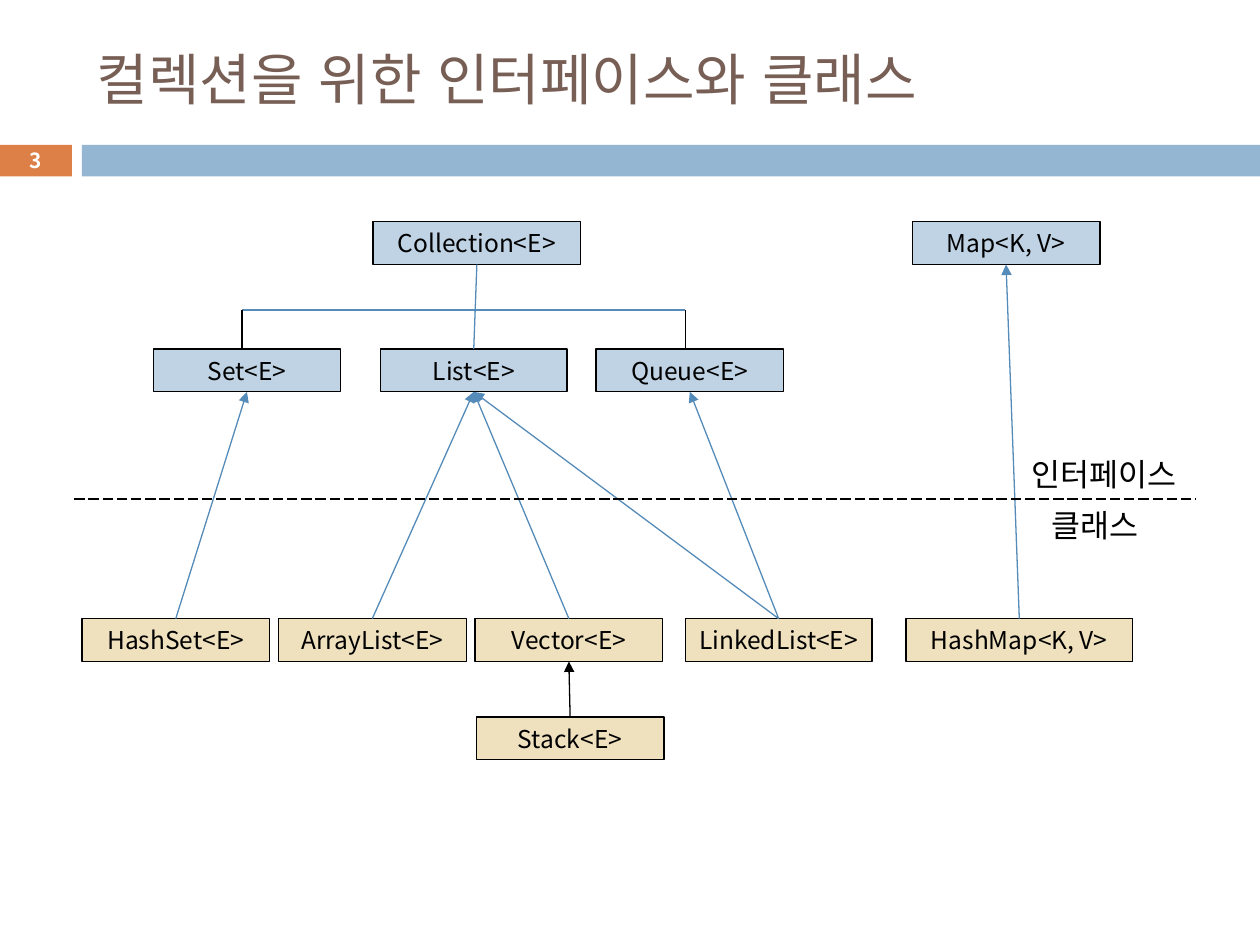
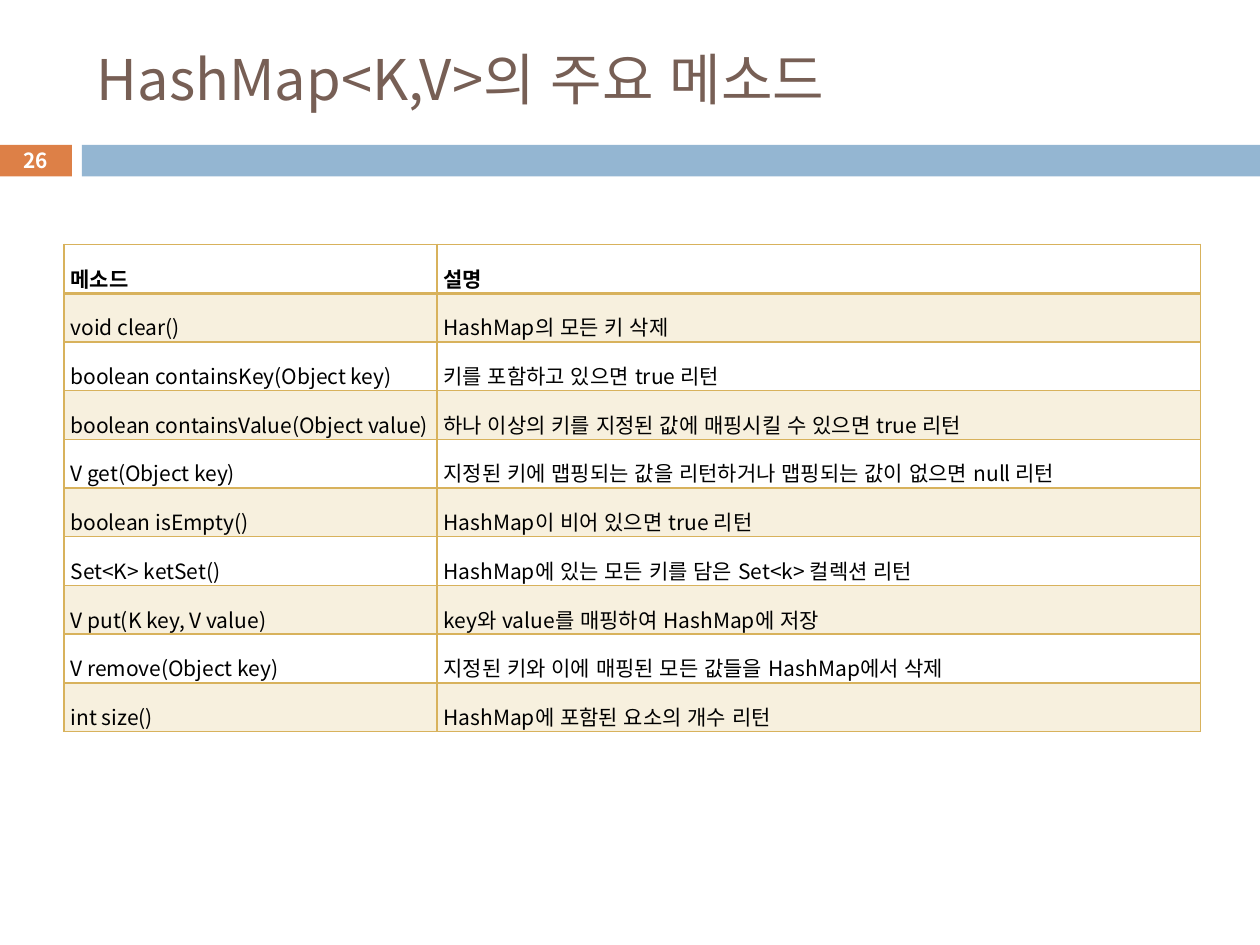
from lxml import etree
from pptx import Presentation
from pptx import util as u
from pptx.dml.color import RGBColor
from pptx.enum import dml, lang, shapes, text
from pptx.oxml import ns

FONT = "Noto Sans CJK KR"
BLACK, WHITE, TITLE = "000000", "FFFFFF", "775F55"
ORANGE, BAND = "DD8047", "94B6D2"
INTERFACE, CLASS, ARROW = "BFD3E4", "EFE0BE", "558BB8"
GRID, STRIPE = "D8B25C", "F7F0DE"
color = RGBColor.from_string


def write(frame, words, size, ink=BLACK, bold=False, align=text.PP_ALIGN.LEFT):
    frame.word_wrap = True
    frame.vertical_anchor = text.MSO_ANCHOR.MIDDLE
    para = frame.paragraphs[0]
    para.text = words
    para.alignment = align
    para.font.size = u.Pt(size)
    para.font.bold = bold
    para.font.color.rgb = color(ink)
    para.font.name = FONT
    para.runs[0].font.language_id = lang.MSO_LANGUAGE_ID.KOREAN
    defaults = para._p.pPr.find(ns.qn("a:defRPr"))
    etree.SubElement(defaults, ns.qn("a:ea"), typeface=FONT)
    return para


def draw_line(page, start, end, ink=ARROW, arrow=False):
    line = page.shapes.add_connector(
        shapes.MSO_CONNECTOR.STRAIGHT, *[u.Inches(value) for value in start + end])
    line.line.color.rgb = color(ink)
    line.line.width = u.Pt(0.75)
    if arrow:
        etree.SubElement(line.line._get_or_add_ln(), ns.qn("a:tailEnd"), type="triangle")
    etree.SubElement(line._element.spPr, ns.qn("a:effectLst"))
    return line


deck = Presentation()
deck.slide_width, deck.slide_height = u.Inches(10), u.Inches(7.5)

# Shared frame: bands, title and page number
pages = []
for title, number in [("컬렉션을 위한 인터페이스와 클래스", "3"),
                      ("HashMap<K,V>의 주요 메소드", "26")]:
    page = deck.slides.add_slide(deck.slide_layouts[6])
    for left, width, fill in [(-0.01, 0.58, ORANGE), (0.65, 9.35, BAND)]:
        band = page.shapes.add_shape(
            shapes.MSO_SHAPE.RECTANGLE, u.Inches(left), u.Inches(1.15),
            u.Inches(width), u.Inches(0.25))
        band.shadow.inherit = False
        band.fill.solid()
        band.fill.fore_color.rgb = color(fill)
        band.line.fill.background()
    box = page.shapes.add_textbox(u.Inches(0.67), u.Inches(0.25), u.Inches(8.92), u.Inches(0.74))
    write(box.text_frame, title, 32, TITLE)
    box = page.shapes.add_textbox(u.Inches(-0.01), u.Inches(1.14), u.Inches(0.58), u.Inches(0.27))
    write(box.text_frame, number, 11.9, WHITE, True, text.PP_ALIGN.CENTER)
    pages.append(page)
diagram_page, table_page = pages

# Type boxes: name, left, top, width, fill
types = [
    ("Collection<E>", 2.96, 1.76, 1.65, INTERFACE),
    ("Map<K, V>", 7.24, 1.76, 1.49, INTERFACE),
    ("Set<E>", 1.22, 2.77, 1.48, INTERFACE),
    ("List<E>", 3.02, 2.77, 1.48, INTERFACE),
    ("Queue<E>", 4.73, 2.77, 1.49, INTERFACE),
    ("HashSet<E>", 0.65, 4.91, 1.49, CLASS),
    ("ArrayList<E>", 2.21, 4.91, 1.49, CLASS),
    ("Vector<E>", 3.77, 4.91, 1.49, CLASS),
    ("LinkedList<E>", 5.44, 4.91, 1.48, CLASS),
    ("HashMap<K, V>", 7.19, 4.91, 1.8, CLASS),
    ("Stack<E>", 3.78, 5.69, 1.49, CLASS),
]
boxes = {}
for name, left, top, width, fill in types:
    box = diagram_page.shapes.add_shape(
        shapes.MSO_SHAPE.RECTANGLE, u.Inches(left), u.Inches(top),
        u.Inches(width), u.Inches(0.34))
    box.shadow.inherit = False
    box.fill.solid()
    box.fill.fore_color.rgb = color(fill)
    box.line.color.rgb = color(BLACK)
    box.line.width = u.Pt(0.75)
    write(box.text_frame, name, 14, align=text.PP_ALIGN.CENTER)
    box.text_frame.word_wrap = False
    boxes[name] = box

# Links run from the top of a type to the bottom of its parent
for child, parent, ink, arrow in [
    ("List<E>", "Collection<E>", ARROW, False),
    ("HashSet<E>", "Set<E>", ARROW, True),
    ("ArrayList<E>", "List<E>", ARROW, True),
    ("Vector<E>", "List<E>", ARROW, True),
    ("LinkedList<E>", "List<E>", ARROW, True),
    ("LinkedList<E>", "Queue<E>", ARROW, True),
    ("HashMap<K, V>", "Map<K, V>", ARROW, True),
    ("Stack<E>", "Vector<E>", BLACK, True),
]:
    link = draw_line(diagram_page, (0, 0), (1, 1), ink, arrow)
    link.begin_connect(boxes[child], 0)
    link.end_connect(boxes[parent], 2)

# Branch from Collection to Set and Queue
draw_line(diagram_page, (1.92, 2.46), (5.44, 2.46))
for x in (1.92, 5.44):
    draw_line(diagram_page, (x, 2.77), (x, 2.46), BLACK)

# Border between interfaces and classes
border = draw_line(diagram_page, (0.59, 3.96), (9.49, 3.96), BLACK)
border.line.dash_style = dml.MSO_LINE.LONG_DASH
for label, left, top, width in [("인터페이스", 8.09, 3.56, 1.46), ("클래스", 8.25, 3.97, 0.96)]:
    box = diagram_page.shapes.add_textbox(
        u.Inches(left), u.Inches(top), u.Inches(width), u.Inches(0.4))
    write(box.text_frame, label, 18)

# Method table
methods = [
    ("메소드", "설명"),
    ("void clear()", "HashMap의 모든 키 삭제"),
    ("boolean containsKey(Object key)", "키를 포함하고 있으면 true 리턴"),
    ("boolean containsValue(Object value)",
     "하나 이상의 키를 지정된 값에 매핑시킬 수 있으면 true 리턴"),
    ("V get(Object key)", "지정된 키에 맵핑되는 값을 리턴하거나 맵핑되는 값이 없으면 null 리턴"),
    ("boolean isEmpty()", "HashMap이 비어 있으면 true 리턴"),
    ("Set<K> ketSet()", "HashMap에 있는 모든 키를 담은 Set<k> 컬렉션 리턴"),
    ("V put(K key, V value)", "key와 value를 매핑하여 HashMap에 저장"),
    ("V remove(Object key)", "지정된 키와 이에 매핑된 모든 값들을 HashMap에서 삭제"),
    ("int size()", "HashMap에 포함된 요소의 개수 리턴"),
]
table = table_page.shapes.add_table(
    len(methods), 2, u.Inches(0.51), u.Inches(1.94), u.Inches(9.02), u.Inches(3.87)).table
table.columns[0].width, table.columns[1].width = u.Inches(2.96), u.Inches(6.06)
for row, entry in enumerate(methods):
    for column, words in enumerate(entry):
        cell = table.cell(row, column)
        para = write(cell.text_frame, words, 12, bold=row == 0, align=text.PP_ALIGN.JUSTIFY)
        para.line_spacing = 1.6
        cell.vertical_anchor = text.MSO_ANCHOR.MIDDLE
        cell.margin_left = cell.margin_right = u.Inches(0.05)
        cell.margin_top = cell.margin_bottom = 0
        properties = cell._tc.get_or_add_tcPr()
        for side in ("lnL", "lnR", "lnT", "lnB"):
            thick = (row, side) in [(0, "lnB"), (1, "lnT")]
            edge = etree.SubElement(properties, ns.qn("a:" + side), w=str(u.Pt(2 if thick else 1)))
            paint = etree.SubElement(edge, ns.qn("a:solidFill"))
            etree.SubElement(paint, ns.qn("a:srgbClr"), val=GRID)
        if row % 2:
            cell.fill.solid()
            cell.fill.fore_color.rgb = color(STRIPE)
        else:
            cell.fill.background()
        # Fill must follow the four borders
        properties.append(properties.find(ns.qn("a:solidFill" if row % 2 else "a:noFill")))

deck.save("out.pptx")
